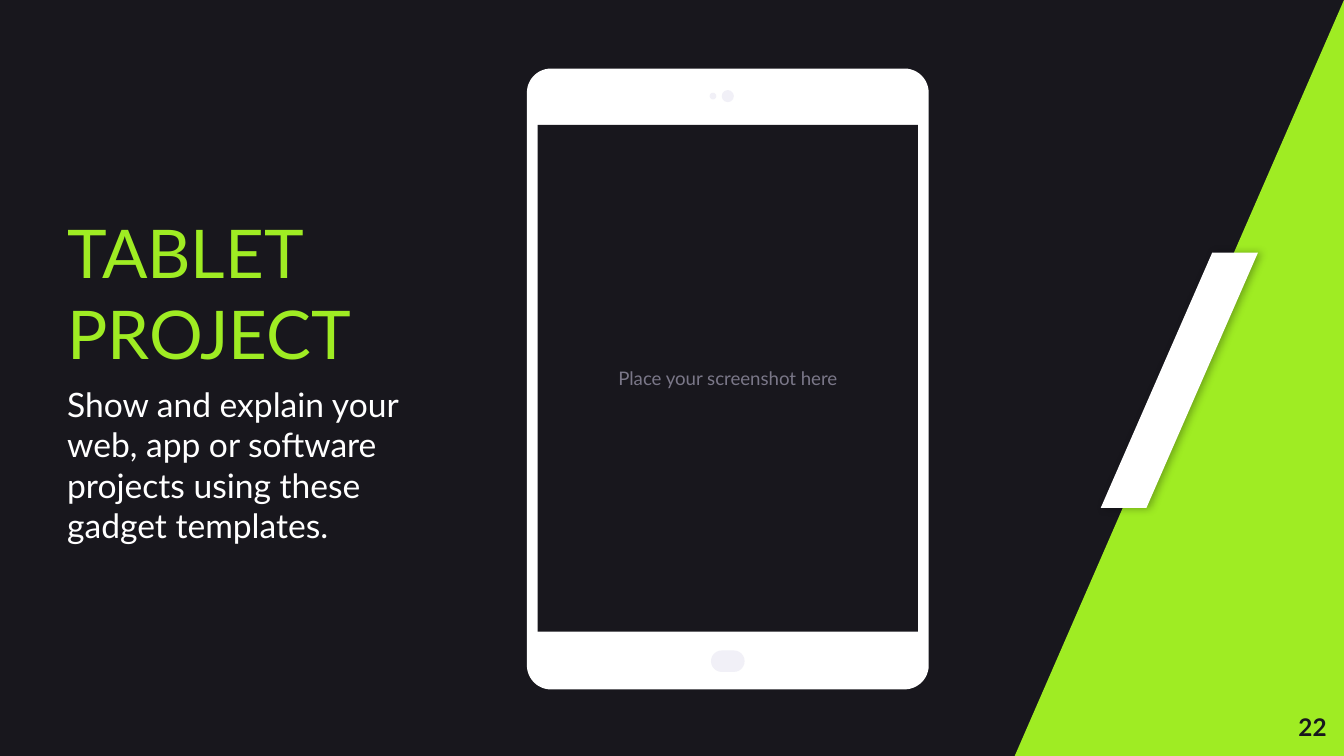
from lxml import etree
from pptx import Presentation
from pptx.dml.color import RGBColor
from pptx.enum.shapes import MSO_SHAPE as SHAPE
from pptx.enum.text import MSO_ANCHOR as ANCHOR, PP_ALIGN as ALIGN
from pptx.oxml.ns import qn
from pptx.util import Inches, Pt

DARK = RGBColor(0x18, 0x17, 0x1D)
LIME = RGBColor(0x9F, 0xEC, 0x23)
WHITE = RGBColor(0xFF, 0xFF, 0xFF)
GRAY = RGBColor(0x7A, 0x77, 0x88)
PALE = RGBColor(0xF1, 0xF0, 0xF7)
FONT = "Lato"
W = 10
H = W * 9 / 16

# Content: text, size, colour, bold
INTRO = [
    ("TABLET PROJECT", 36, LIME, False),
    ("Show and explain your web, app or software projects using these "
     "gadget templates.", 18, WHITE, False),
]
PLACEHOLDER = [("Place your screenshot here", 10, GRAY, False)]
PAGE_NUMBER = [("22", 13, DARK, True)]

# Outlines of the slanted decoration
CORNER = [(7.55, H), (W, 0), (W, H)]
SLASH = [(9.02, 1.88), (8.19, 3.78), (8.53, 3.78), (9.36, 1.88)]

# Tablet parts: preset, box, fill, corner radius
SCREEN = (4, 0.93, 2.83, 3.77)
TABLET = [
    (SHAPE.ROUNDED_RECTANGLE, (3.92, 0.51, 2.99, 4.62), WHITE, 0.18),
    (SHAPE.ROUNDED_RECTANGLE, (5.29, 4.84, 0.25, 0.16), PALE, 0.08),
    (SHAPE.OVAL, (5.28, 0.69, 0.05, 0.05), PALE, None),
    (SHAPE.OVAL, (5.37, 0.67, 0.09, 0.09), PALE, None),
    (SHAPE.RECTANGLE, SCREEN, DARK, None),
]

prs = Presentation()
prs.slide_width, prs.slide_height = Inches(W), Inches(H)
s = prs.slides.add_slide(prs.slide_layouts[6])
s.background.fill.solid()
s.background.fill.fore_color.rgb = DARK


def paint(sp, color):
    sp.fill.solid()
    sp.fill.fore_color.rgb = color
    sp.line.fill.background()
    sp.shadow.inherit = False
    return sp


def add_outline(points, color):
    pts = [(Inches(x), Inches(y)) for x, y in points]
    fb = s.shapes.build_freeform(*pts[0])
    fb.add_line_segments(pts[1:], close=True)
    return paint(fb.convert_to_shape(), color)


def add_text(box, paragraphs, align, inset=0):
    tf = s.shapes.add_textbox(*map(Inches, box)).text_frame
    tf.word_wrap = True
    tf.vertical_anchor = ANCHOR.MIDDLE
    tf.margin_left = tf.margin_right = Inches(inset)
    tf.margin_top = tf.margin_bottom = Inches(inset)
    for i, (text, size, color, bold) in enumerate(paragraphs):
        p = tf.paragraphs[0] if i == 0 else tf.add_paragraph()
        p.text = text
        p.alignment = align
        p.space_before = Pt(6 if i else 0)
        p.font.name, p.font.size, p.font.bold = FONT, Pt(size), bold
        p.font.color.rgb = color


# Slanted decoration; the slash casts a soft shadow to the right
add_outline(CORNER, LIME)
slash = add_outline(SLASH, WHITE)
effects = slash._element.spPr.find(qn("a:effectLst"))
shadow = etree.SubElement(effects, qn("a:outerShdw"), blurRad=str(Pt(4.5)),
                          dist=str(Pt(1.5)), dir="0", algn="bl",
                          rotWithShape="0")
black = etree.SubElement(shadow, qn("a:srgbClr"), val="000000")
etree.SubElement(black, qn("a:alpha"), val="30000")

# Tablet
for preset, box, color, radius in TABLET:
    sp = paint(s.shapes.add_shape(preset, *map(Inches, box)), color)
    if radius:
        sp.adjustments[0] = radius / min(box[2:])

# Text
add_text(SCREEN, PLACEHOLDER, ALIGN.CENTER, inset=0.1)
add_text((0.5, 0.49, 2.78, 4.65), INTRO, ALIGN.LEFT)
add_text((9.27, 5.19, 0.6, 0.43), PAGE_NUMBER, ALIGN.RIGHT)

prs.save("out.pptx")
